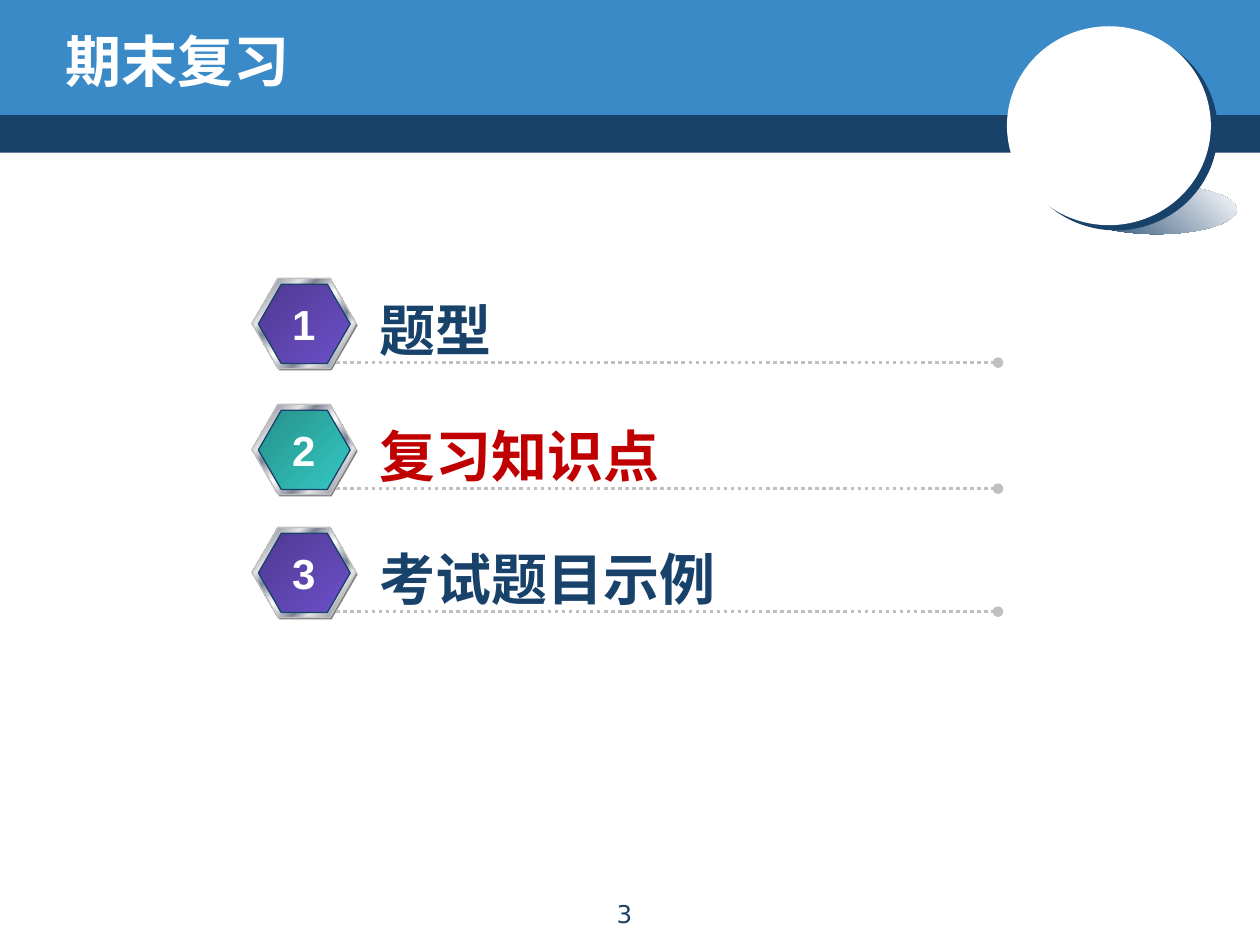
from lxml.etree import SubElement as Sub
from pptx import Presentation
from pptx.dml.color import RGBColor as RGB
from pptx.enum.dml import MSO_LINE as Dash
from pptx.enum.shapes import MSO_CONNECTOR as Conn, MSO_SHAPE as Shape
from pptx.enum.text import MSO_ANCHOR as Anchor, MSO_AUTO_SIZE as Auto, PP_ALIGN as Align
from pptx.oxml.ns import qn
from pptx.util import Cm, Pt

HUES = {
    "navy": "19426B", "blue": "398AC7", "white": "FFFFFF", "red": "C00000",
    "gray": "808080", "rule": "C0C0C0", "pale": "E6E6E6", "steel": "7D8496",
    "plum": "4E3990", "violet": "6D50CA", "teal": "26908B", "mint": "35C9C2",
}
METAL = [(0, "pale"), (7, "steel"), (26, "pale"), (34, "steel"), (46, "pale"),
         (50, "white"), (54, "pale"), (66, "steel"), (74, "pale"),
         (93, "steel"), (100, "pale")]
PURPLE = [(0, "plum"), (100, "violet")]
GREEN = [(0, "teal"), (100, "mint")]


def hue(name):
    return RGB.from_string(HUES[name])


def blend(shape, stops, angle):
    """Fill a shape with a linear gradient, angle clockwise in degrees."""
    shape.fill.gradient()
    grad = shape._element.spPr.find(qn("a:gradFill"))
    for child in list(grad):
        grad.remove(child)
    items = Sub(grad, qn("a:gsLst"))
    for pos, name in stops:
        stop = Sub(items, qn("a:gs"), pos=str(pos * 1000))
        Sub(stop, qn("a:srgbClr"), val=HUES[name])
    Sub(grad, qn("a:lin"), ang=str(angle * 60000), scaled="0")


def draw(shapes, kind, box, fill, edge=None, angle=45):
    """Add a preset shape; fill is a colour name or a list of stops."""
    shape = shapes.add_shape(kind, *map(Cm, box))
    shape.shadow.inherit = False
    if isinstance(fill, str):
        shape.fill.solid()
        shape.fill.fore_color.rgb = hue(fill)
    else:
        blend(shape, fill, angle)
    if edge:
        shape.line.color.rgb = hue(edge)
        shape.line.width = Pt(0.75)
    else:
        shape.line.fill.background()
    return shape


def put(frame, text, size, color, font="Arial", bold=True, align=Align.LEFT):
    para = frame.paragraphs[0]
    para.alignment = align
    run = para.add_run()
    run.text = text
    run.font.size = Pt(size)
    run.font.name = font
    run.font.bold = bold
    run.font.color.rgb = hue(color)


def note(slide, box, *args, wrap=False, **opts):
    frame = slide.shapes.add_textbox(*map(Cm, box)).text_frame
    frame.word_wrap = wrap
    if not wrap:
        frame.auto_size = Auto.SHAPE_TO_FIT_TEXT
    put(frame, *args, **opts)


def ball(slide, x, y):
    shapes = slide.shapes.add_group_shape().shapes
    draw(shapes, Shape.OVAL, (x + 1.4, y + 3.2, 3.23, 0.99),
         [(0, "navy"), (100, "white")], angle=315)
    disc = draw(shapes, Shape.OVAL, (x, y, 4.11, 4.01), "white")
    effects = disc._element.spPr.find(qn("a:effectLst"))
    shade = Sub(effects, qn("a:outerShdw"), dist=str(Pt(5)),
                dir=str(37 * 60000), algn="ctr", rotWithShape="0")
    Sub(shade, qn("a:srgbClr"), val=HUES["navy"])
    draw(shapes, Shape.OVAL, (x + 1.4, y + 1.2, 1.45, 1.5), "white")


def banner(slide, x, y, wide, text):
    draw(slide.shapes, Shape.RECTANGLE, (x, y + 2.22, wide, 0.86), "navy")
    draw(slide.shapes, Shape.RECTANGLE, (x, y, wide, 2.32), "blue")
    ball(slide, x + 20.3, y + 0.53)
    # Title, brought in front of the bands
    title = slide.shapes.title
    title.left, title.top = Cm(x + 1.07), Cm(y + 0.43)
    title.width, title.height = Cm(20.52), Cm(1.57)
    title.text_frame.vertical_anchor = Anchor.MIDDLE
    put(title.text_frame, text, 32, "white", font="Comic Neue")
    slide.shapes._spTree.append(title._element)


def badge(slide, x, y, stops):
    shapes = slide.shapes.add_group_shape().shapes
    layers = [((x + 0.03, y + 0.04, 2.1, 1.82), "gray", None),
              ((x, y, 2.1, 1.82), METAL, "rule"),
              ((x + 0.13, y + 0.12, 1.85, 1.6), stops, "navy")]
    for box, fill, edge in layers:
        hexa = draw(shapes, Shape.HEXAGON, box, fill, edge)
        hexa.adjustments[0] = 0.289


def topic(slide, x, y, num, text, color, stops):
    badge(slide, x, y, stops)
    # Dotted rule with a round end
    ends = (x + 1.7, y + 1.7, x + 15.04, y + 1.7)
    rule = slide.shapes.add_connector(Conn.STRAIGHT, *map(Cm, ends))
    rule.line.color.rgb = hue("rule")
    rule.line.width = Pt(2)
    rule.line.dash_style = Dash.ROUND_DOT
    Sub(rule.line._get_or_add_ln(), qn("a:tailEnd"), type="oval")
    Sub(rule._element.spPr, qn("a:effectLst"))
    # Heading, as wide as its characters plus the insets, and number
    note(slide, (x + 2.32, y + 0.22, 1.15 * len(text) + 0.52, 1.63),
         text, 32, color)
    note(slide, (x + 0.55, y + 0.28, 0.99, 1.27), str(num), 24, "white",
         align=Align.CENTER)


def main():
    deck = Presentation()
    deck.slide_width, deck.slide_height = Cm(25.4), Cm(19.05)
    slide = deck.slides.add_slide(deck.slide_layouts[5])
    banner(slide, 0, 0, 25.4, "期末复习")
    topics = [(5.61, "题型", "navy", PURPLE),
              (8.15, "复习知识点", "red", GREEN),
              (10.63, "考试题目示例", "navy", PURPLE)]
    for num, (y, *rest) in enumerate(topics, 1):
        topic(slide, 5.08, y, num, *rest)
    # Page number
    note(slide, (10.29, 18, 4.6, 0.81), "3", 14, "navy", wrap=True,
         font="DejaVu Sans", bold=False, align=Align.CENTER)
    deck.save("out.pptx")


if __name__ == "__main__":
    main()
